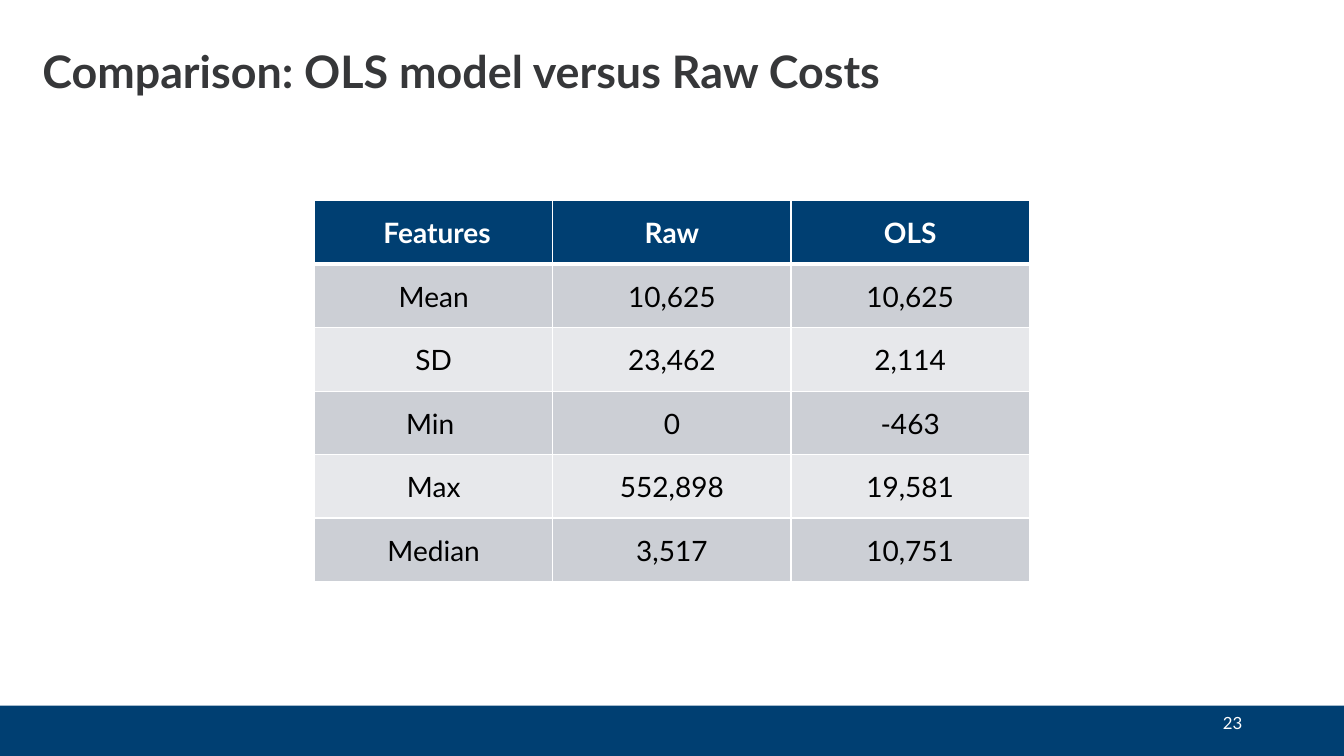
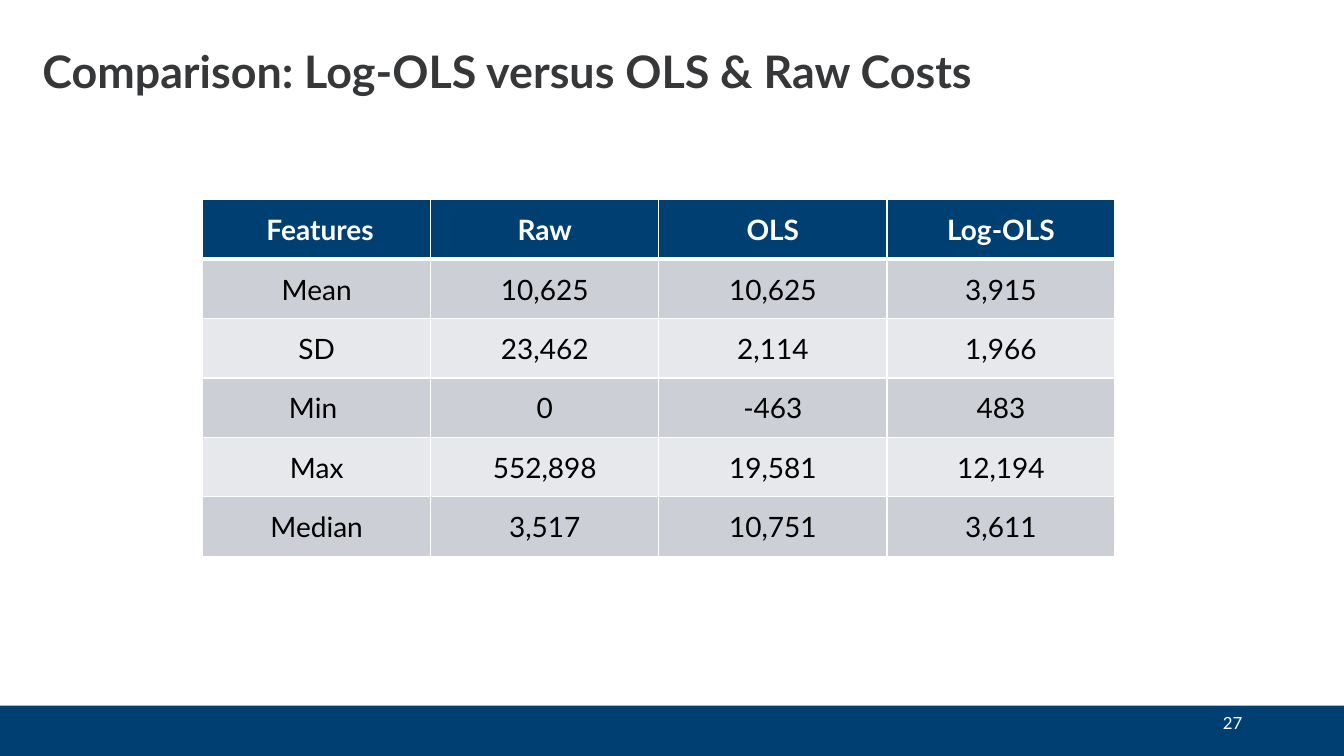
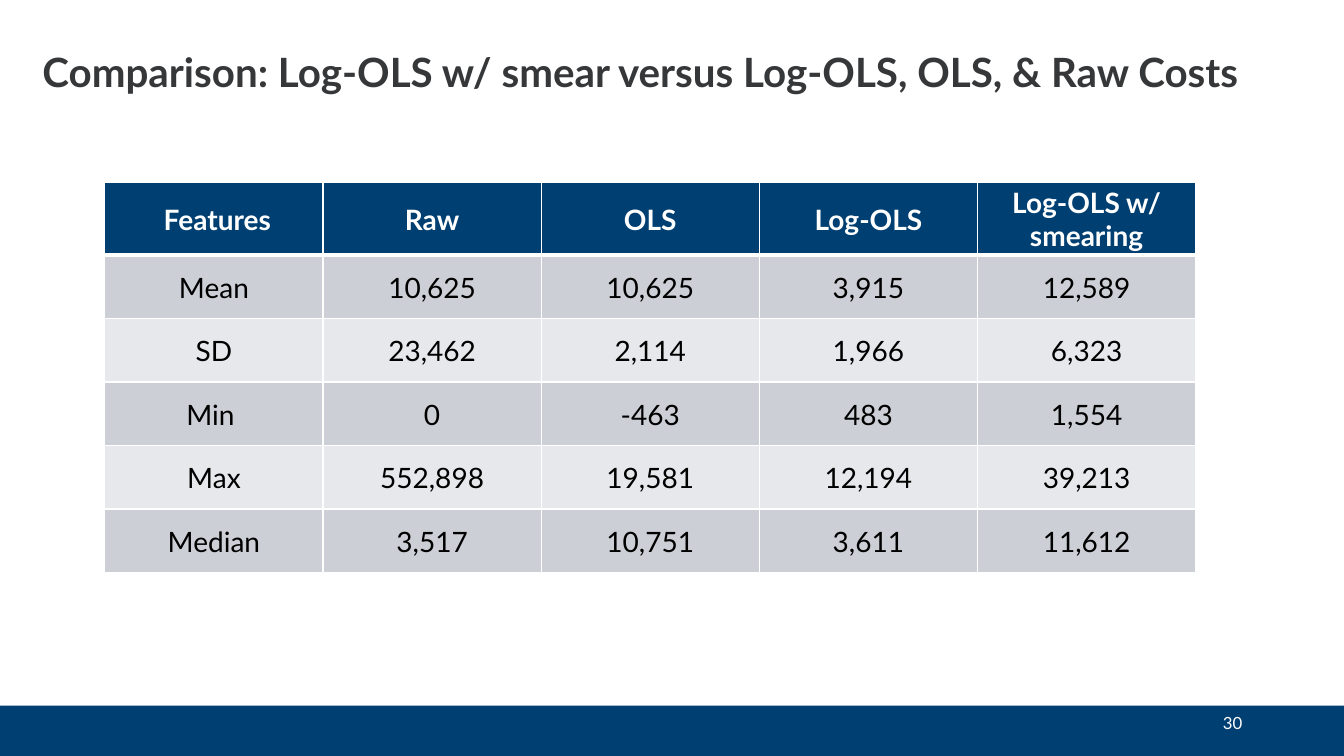
from lxml import etree
from pptx import Presentation
from pptx.dml.color import RGBColor
from pptx.enum import shapes, text
from pptx.oxml import ns
from pptx.util import Inches, Pt

FONT = "Lato"
NAVY, CHARCOAL, WHITE, BLACK = "003F72", "363739", "FFFFFF", "000000"
ROW_FILLS = ("CCCFD5", "E7E8EB")
SLIDE_WIDTH, SLIDE_HEIGHT, BAND_TOP = 13.33, 7.5, 7

FEATURES = [" Features", "Mean", "SD", "Min ", "Max", "Median"]
MODELS = [
    ["Raw", "10,625", "23,462", "0", "552,898", "3,517"],
    ["OLS", "10,625", "2,114", "-463", "19,581", "10,751"],
    ["Log-OLS", "3,915", "1,966", "483", "12,194", "3,611"],
    ["Log-OLS w/ smearing", "12,589", "6,323", "1,554", "39,213", "11,612"],
]

# Each table shows the first "models" entries of MODELS.
SLIDES = [
    dict(title="Comparison: OLS model versus Raw Costs", title_width=11.5, title_size=32,
         number="23", models=2, left=3.12, top=1.99, width=7.09, header=0.63, row=0.63),
    dict(title="Comparison: Log-OLS versus OLS & Raw Costs", title_width=11.5, title_size=32,
         number="27", models=3, left=2.01, top=1.98, width=9.05, header=0.59, row=0.59),
    dict(title="Comparison: Log-OLS w/ smear versus Log-OLS, OLS, & Raw Costs",
         title_width=12.71, title_size=28.8,
         number="30", models=4, left=1.04, top=1.81, width=10.82, header=0.72, row=0.63),
]


def rgb(value):
    return RGBColor.from_string(value)


def write(frame, words, size, color, bold=False, align=text.PP_ALIGN.LEFT):
    """Put one formatted paragraph into a text frame and return it."""
    paragraph = frame.paragraphs[0]
    paragraph.alignment = align
    run = paragraph.add_run()
    run.text = words
    for name, value in dict(name=FONT, size=Pt(size), bold=bold).items():
        setattr(run.font, name, value)
    run.font.color.rgb = rgb(color)
    return paragraph


def add_band(slide, number):
    """Draw the footer band with the slide number."""
    band = slide.shapes.add_shape(
        shapes.MSO_SHAPE.RECTANGLE, 0, Inches(BAND_TOP),
        Inches(SLIDE_WIDTH), Inches(SLIDE_HEIGHT - BAND_TOP))
    band.shadow.inherit = False
    band.fill.solid()
    band.fill.fore_color.rgb = rgb(NAVY)
    band.line.fill.background()

    box = slide.shapes.add_textbox(Inches(9.42), Inches(BAND_TOP), Inches(3), Inches(0.35))
    box.text_frame.word_wrap = True
    box.text_frame.vertical_anchor = text.MSO_ANCHOR.MIDDLE
    write(box.text_frame, number, 12, WHITE, align=text.PP_ALIGN.RIGHT)


def set_title(slide, words, width, size):
    title = slide.shapes.title
    box = dict(left=0.32, top=0.32, width=width, height=0.83)
    for name, value in box.items():
        setattr(title, name, Inches(value))
    frame = title.text_frame
    frame.auto_size = text.MSO_AUTO_SIZE.NONE
    frame.vertical_anchor = text.MSO_ANCHOR.MIDDLE
    write(frame, words, size, CHARCOAL, bold=True).line_spacing = 0.9


def set_borders(cell, widths):
    """Give the cell white borders; widths maps L, R, T, B to points."""
    properties = cell._tc.get_or_add_tcPr()
    for side, width in widths.items():
        line = etree.SubElement(properties, ns.qn(f"a:ln{side}"), w=str(Pt(width)))
        fill = etree.SubElement(line, ns.qn("a:solidFill"))
        etree.SubElement(fill, ns.qn("a:srgbClr"), val=WHITE)


def format_cell(cell, words, row):
    is_header = row == 0
    set_borders(cell, dict(L=1, R=1, T=3 if row == 1 else 1, B=3 if is_header else 1))
    cell.fill.solid()
    cell.fill.fore_color.rgb = rgb(NAVY if is_header else ROW_FILLS[(row - 1) % 2])
    cell.vertical_anchor = text.MSO_ANCHOR.MIDDLE
    for side, inset in dict(left=0.01, top=0.01, right=0.01, bottom=0).items():
        setattr(cell, f"margin_{side}", Inches(inset))
    write(cell.text_frame, words, 20, WHITE if is_header else BLACK,
          bold=is_header, align=text.PP_ALIGN.CENTER)


def add_cost_table(slide, columns, left, top, width, header, row_height):
    heights = [header] + [row_height] * (len(FEATURES) - 1)
    table = slide.shapes.add_table(
        len(heights), len(columns), Inches(left), Inches(top),
        Inches(width), Inches(sum(heights))).table
    for row, height in zip(table.rows, heights):
        row.height = Inches(height)
    for column, entries in enumerate(columns):
        table.columns[column].width = Inches(width / len(columns))
        for row, words in enumerate(entries):
            format_cell(table.cell(row, column), words, row)


def main():
    presentation = Presentation()
    presentation.slide_width = Inches(SLIDE_WIDTH)
    presentation.slide_height = Inches(SLIDE_HEIGHT)
    title_only = presentation.slide_layouts[5]
    for content in SLIDES:
        slide = presentation.slides.add_slide(title_only)
        add_band(slide, content["number"])
        set_title(slide, content["title"], content["title_width"], content["title_size"])
        add_cost_table(slide, [FEATURES] + MODELS[:content["models"]], content["left"],
                       content["top"], content["width"], content["header"], content["row"])
    presentation.save("out.pptx")


if __name__ == "__main__":
    main()
